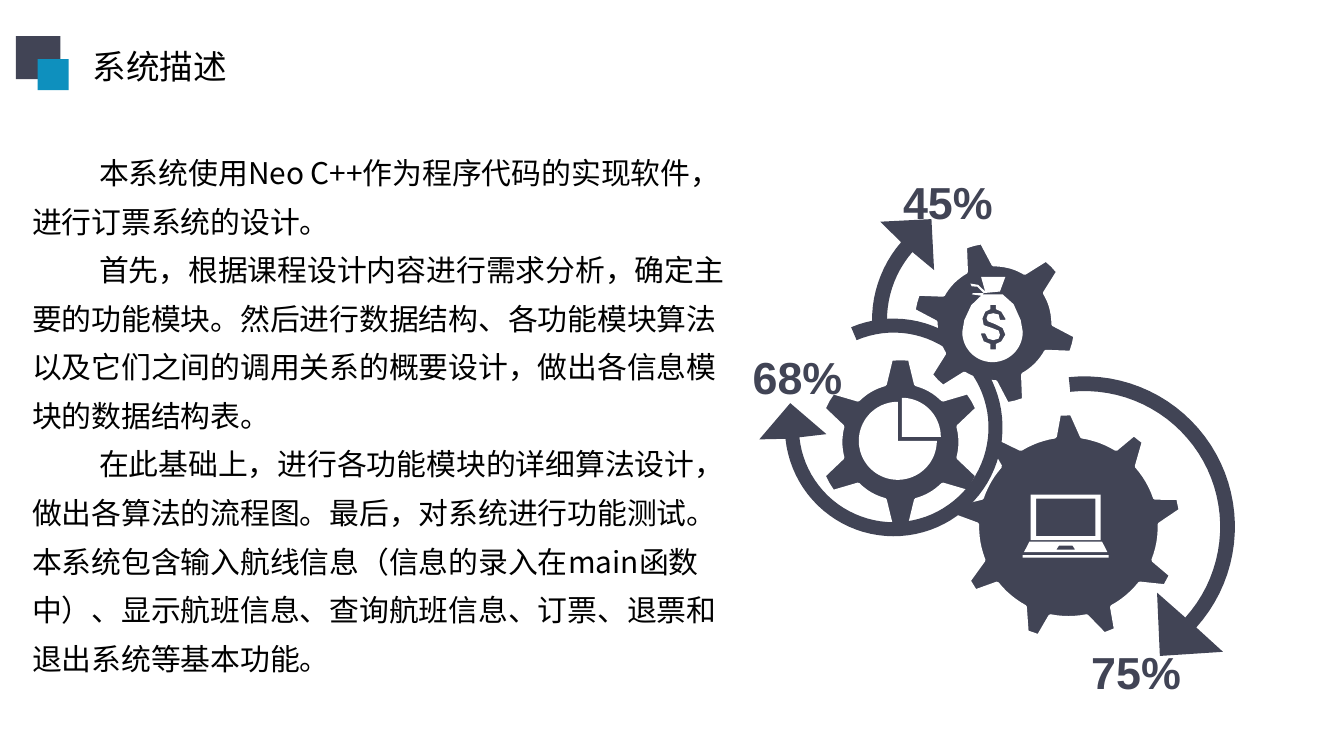
"""Build the system description slide with its gear diagram."""
import math

from pptx import Presentation
from pptx.dml.color import RGBColor
from pptx.enum import shapes, text
from pptx.oxml import ns
from pptx.util import Pt
from lxml import etree

COLORS = {"dark": "414455", "blue": "0E90BE", "white": "FFFFFF", "black": "000000"}
CJK = "Noto Sans CJK SC"
PARAGRAPHS = [
    "本系统使用Neo C++作为程序代码的实现软件，进行订票系统的设计。",
    "首先，根据课程设计内容进行需求分析，确定主要的功能模块。然后进行数据结构、"
    "各功能模块算法以及它们之间的调用关系的概要设计，做出各信息模块的数据结构表。",
    "在此基础上，进行各功能模块的详细算法设计，做出各算法的流程图。最后，对系统进行功能测试。"
    "本系统包含输入航线信息（信息的录入在main函数中）、显示航班信息、查询航班信息、"
    "订票、退票和退出系统等基本功能。",
]
GEARS = [
    ((572.4, 282.2), 9, -90, (60.5, 5), (48.3, 7.2)),
    ((482.4, 236.9), 6, -90, (44.6, 5), (31, 8.3)),
    ((532.8, 173.2), 6, -45, (43.6, 4.6), (30.5, 7.6)),
]
ARROWS = [
    ((581, 282.2), 72.7, 80.6, 42, -96, [(655.2, 349.2), (621.4, 351.4), (619.9, 317.5)]),
    ((478.8, 229), 50.8, 58.3, 174, -113, [(406.8, 235.4), (423.4, 216), (442.8, 232.6)]),
    ((530.6, 171.4), 55.4, 63.4, 221, 175, [(471.6, 118.8), (499, 117.4), (500.4, 144.7)]),
]
LABELS = [("45%", 478.8, 90.7), ("68%", 398.2, 184.3), ("75%", 579.6, 342.7)]
BAG_TIE = [(535.7, 156.2), (538.6, 148.3), (525.6, 148.3), (527.8, 156.2), (524, 152.6),
           (519.8, 151.9), (520.6, 153.4), (523.6, 153.6), (527, 157)]
BAG_TOP = [(516.6, 171.5), (520.3, 163.5), (525.6, 158.4), (520.6, 157.7), (521.3, 157),
           (527, 157), (526.3, 157.7), (537.1, 157.7), (543, 163), (546.8, 171.5)]
DOLLAR = [(536.4, 182.9), (533.5, 184.3), (533.5, 187.2), (530.6, 187.2), (530.6, 184.3),
          (527, 182.9), (525.6, 179.3), (525.6, 178.6), (527.8, 178.6), (529.2, 181.4),
          (532.1, 182.2), (535, 181.4), (535.7, 179.3), (535, 177.1), (531.4, 175.7),
          (527, 174.2), (526.3, 170.6), (527.8, 167), (530.6, 165.6), (530.6, 163.4),
          (533.5, 163.4), (533.5, 165.6), (536.4, 167), (538.6, 170.6), (538.6, 171.4),
          (535.7, 171.4), (535, 168.5), (532.1, 167.8), (529.2, 168.5), (528.5, 170.6),
          (529.2, 172.1), (532.8, 173.5), (537.1, 175.7), (538.6, 179.3)]


def arc(center, radius, start, end):
    """Return points along a circular arc, with angles in degrees."""
    steps = max(2, math.ceil(abs(end - start) / 4))
    angles = [math.radians(start + (end - start) * i / steps) for i in range(steps + 1)]
    return [(center[0] + radius * math.cos(a), center[1] + radius * math.sin(a)) for a in angles]


def box(left, top, right, bottom):
    """Return the corners of a rectangle."""
    return [(left, top), (right, top), (right, bottom), (left, bottom)]


def paint(sp, color, outline=None):
    """Fill a shape, outline it if asked and drop its shadow."""
    sp.shadow.inherit = False
    sp.fill.solid()
    sp.fill.fore_color.rgb = RGBColor.from_string(COLORS[color])
    if outline:
        sp.line.color.rgb = RGBColor.from_string(COLORS[outline])
        sp.line.width = Pt(2)
    else:
        sp.line.fill.background()


def add_outline(s, color, *contours, outline=None):
    """Draw closed contours as one freeform; inner contours are holes."""
    paths = [[(Pt(x), Pt(y)) for x, y in c] for c in contours]
    builder = s.shapes.build_freeform(*paths[0][0])
    for i, points in enumerate(paths):
        if i:
            builder.move_to(*points[0])
        builder.add_line_segments(points[1:], close=True)
    paint(builder.convert_to_shape(), color, outline)


def add_gear(s, center, teeth, first, tip, base):
    """Draw a gear from the distance and half width of its tooth tips and bases."""
    (tip_r, tip_a), (base_r, base_a) = [
        (math.hypot(d, w), math.degrees(math.atan2(w, d))) for d, w in (tip, base)]
    step = 360 / teeth
    points = []
    for i in range(teeth):
        angle = first + i * step
        points += arc(center, tip_r, angle - tip_a, angle + tip_a)[::2]
        points += arc(center, base_r, angle + base_a, angle + step - base_a)
    add_outline(s, "dark", points, outline="white")


def add_arrow(s, center, inner, outer, start, end, head):
    """Draw a curved band with an arrowhead at its start."""
    add_outline(s, "dark", arc(center, inner, start, end) + arc(center, outer, end, start) + head)


def add_square(s, color, left, top, width, height):
    """Add a plain header block."""
    sp = s.shapes.add_shape(shapes.MSO_SHAPE.RECTANGLE, Pt(left), Pt(top), Pt(width), Pt(height))
    paint(sp, color)


def set_text(sp, paragraphs, size, font, color, wrap=False, bold=False):
    """Write formatted paragraphs into a shape and return them."""
    tf = sp.text_frame
    tf.word_wrap = wrap
    tf.auto_size = text.MSO_AUTO_SIZE.SHAPE_TO_FIT_TEXT
    tf.vertical_anchor = text.MSO_ANCHOR.TOP
    for i, content in enumerate(paragraphs):
        p = tf.add_paragraph() if i else tf.paragraphs[0]
        p.alignment = text.PP_ALIGN.LEFT
        r = p.add_run()
        r.text = content
        r.font.size, r.font.name, r.font.bold = Pt(size), font, bold
        r.font.color.rgb = RGBColor.from_string(COLORS[color])
        etree.SubElement(r.font._element, ns.qn("a:ea"), typeface=font)
    return tf.paragraphs


def add_title(s, content):
    """Place and format the title."""
    sp = s.shapes.title
    sp.left, sp.top, sp.width, sp.height = Pt(42.5), Pt(20.9), Pt(87.1), Pt(28.8)
    set_text(sp, [content], 18, CJK, "black")


def add_body(s):
    """Add the description with indented first lines."""
    sp = s.shapes.add_textbox(Pt(10.1), Pt(72.7), Pt(388.8), Pt(295.9))
    for p in set_text(sp, PARAGRAPHS, 16, CJK, "black", wrap=True):
        p.line_spacing = Pt(26)
        p._p.get_or_add_pPr().set("indent", str(Pt(36)))


def add_label(s, content, left, top):
    """Add a percentage label."""
    sp = s.shapes.add_textbox(Pt(left), Pt(top), Pt(59), Pt(34.6))
    tf = sp.text_frame
    tf.margin_left = tf.margin_right = Pt(5)
    tf.margin_top = tf.margin_bottom = Pt(2.9)
    set_text(sp, [content], 24, "Arial", "dark", bold=True)


def add_icons(s):
    """Draw the laptop, the pie and the money bag on the gears."""
    keyboard = [(551.5, 290.2), (590.4, 290.2), (593.3, 295.9), (548.6, 295.9)]
    trackpad = [(567.4, 292.3), (574.6, 292.3), (576, 294.5), (565.9, 294.5)]
    add_outline(s, "white", box(552.2, 265, 589.7, 289.4), box(555.1, 267.1, 586.8, 287.3),
                keyboard, trackpad, box(547.9, 297.4, 594, 298.8))
    for center, start, end in (((481, 236.2), 0, 270), ((483.1, 234), -90, 0)):
        add_outline(s, "white", [center] + arc(center, 20.9, start, end))
    add_outline(s, "white", BAG_TIE)
    add_outline(s, "white", arc((531.7, 177.8), 16.2, 0, 180) + BAG_TOP, DOLLAR)


def main():
    """Assemble and save the slide."""
    prs = Presentation()
    prs.slide_width, prs.slide_height = Pt(720), Pt(405)
    s = prs.slides.add_slide(prs.slide_layouts[5])
    for gear in GEARS:
        add_gear(s, *gear)
    for arrow in ARROWS:
        add_arrow(s, *arrow)
    add_icons(s)
    for label in LABELS:
        add_label(s, *label)
    add_title(s, "系统描述")
    add_square(s, "dark", 8.6, 19.4, 23.8, 23)
    add_square(s, "blue", 20.2, 31.7, 16.6, 16.6)
    add_body(s)
    prs.save("out.pptx")


if __name__ == "__main__":
    main()
